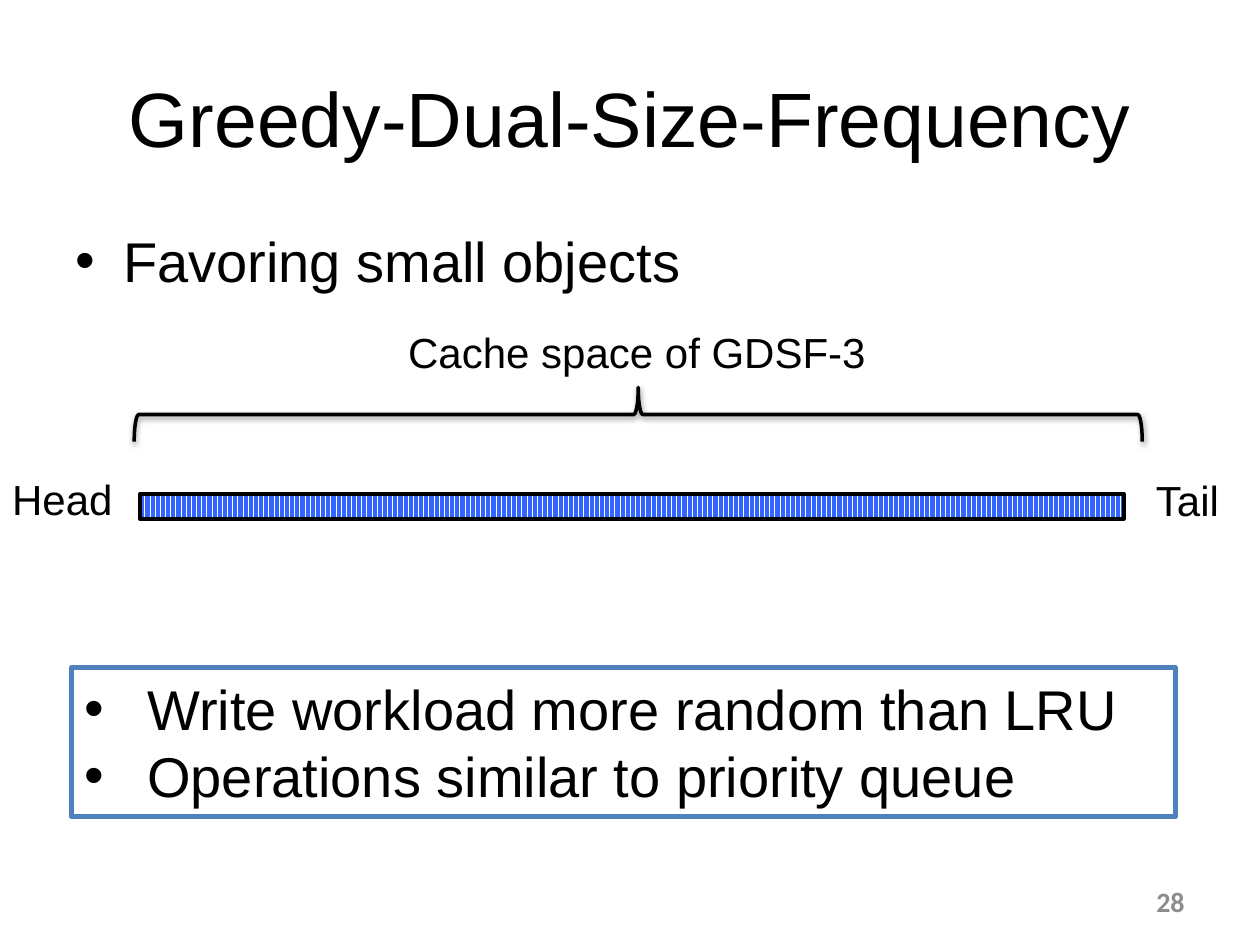
from dataclasses import dataclass

from lxml.etree import SubElement
from pptx import Presentation
from pptx.dml.color import RGBColor
from pptx.enum.dml import MSO_PATTERN
from pptx.enum.shapes import MSO_SHAPE as Shape
from pptx.enum.text import MSO_ANCHOR as Anchor, PP_ALIGN as Align
from pptx.oxml.ns import qn
from pptx.util import Inches, Pt

COLORS = {
    "black": "000000",
    "white": "FFFFFF",
    "gray": "8C8C8C",
    "cache": "3366FF",
    "frame": "4F81BD",
}


@dataclass
class Box:
    left: float
    top: float
    width: float
    height: float

    def lengths(self) -> list:
        return [Inches(v) for v in (self.left, self.top, self.width, self.height)]


@dataclass
class Label:
    text: str
    box: Box


LABELS = [
    Label("Cache space of GDSF-3", Box(2.77, 2.54, 4.57, 0.5)),
    Label("Head", Box(-0.77, 3.71, 2.53, 0.5)),
    Label("Tail", Box(8.16, 3.72, 2.53, 0.5)),
]


def rgb(name: str) -> RGBColor:
    return RGBColor.from_string(COLORS[name])


def add_bullet(p, indent: float) -> None:
    pPr = p._p.get_or_add_pPr()
    pPr.set("marL", str(Inches(indent)))
    pPr.set("indent", str(-Inches(indent)))
    SubElement(pPr, qn("a:buFont"), typeface="Arial")
    SubElement(pPr, qn("a:buChar"), char="•")


def write(s, text: str, *, size: float, font: str = "Arial", color: str = "black",
          bold: bool = False, align=Align.LEFT, anchor=Anchor.TOP,
          indent: float = 0) -> None:
    tf = s.text_frame
    tf.word_wrap = True
    tf.vertical_anchor = anchor
    for i, line in enumerate(text.split("\n")):
        p = tf.add_paragraph() if i else tf.paragraphs[0]
        p.alignment = align
        if indent:
            add_bullet(p, indent)
        r = p.add_run()
        r.text = line
        r.font.name = font
        r.font.size = Pt(size)
        r.font.bold = bold
        r.font.color.rgb = rgb(color)


def add_text(slide, text: str, box: Box, **fmt):
    s = slide.shapes.add_textbox(*box.lengths())
    write(s, text, **fmt)
    return s


def add_outlined(slide, kind, box: Box, line: str, width: float):
    s = slide.shapes.add_shape(kind, *box.lengths())
    s.shadow.inherit = False
    s.line.color.rgb = rgb(line)
    s.line.width = Pt(width)
    return s


def add_shadow(s) -> None:
    effects = s._element.spPr.find(qn("a:effectLst"))
    shadow = SubElement(effects, qn("a:outerShdw"), blurRad=str(Pt(3.1)),
                        dist=str(Pt(1.6)), dir="5400000", rotWithShape="0")
    color = SubElement(shadow, qn("a:srgbClr"), val=COLORS["black"])
    SubElement(color, qn("a:alpha"), val="38000")


def main() -> None:
    prs = Presentation()
    prs.slide_width, prs.slide_height = Inches(10), Inches(7.5)
    slide = prs.slides.add_slide(prs.slide_layouts[6])

    add_text(slide, "Greedy-Dual-Size-Frequency", Box(0.5, 0.3, 9, 1.25),
             size=44, align=Align.CENTER, anchor=Anchor.MIDDLE)
    add_text(slide, "Favoring small objects", Box(0.5, 1.75, 9, 4.95),
             size=32, indent=0.38)
    add_text(slide, "28", Box(7.17, 6.95, 2.33, 0.4), size=16, font="Calibri",
             color="gray", bold=True, align=Align.RIGHT, anchor=Anchor.MIDDLE)

    brace = add_outlined(slide, Shape.LEFT_BRACE, Box(4.85, -0.71, 0.43, 8), "black", 2)
    brace.rotation = 90
    brace.fill.background()
    add_shadow(brace)

    cache = add_outlined(slide, Shape.RECTANGLE, Box(1.11, 3.92, 7.81, 0.2), "black", 2)
    cache.fill.patterned()
    cache.fill.pattern = MSO_PATTERN.DARK_VERTICAL
    cache.fill.fore_color.rgb = rgb("cache")
    cache.fill.back_color.rgb = rgb("white")

    for label in LABELS:
        add_text(slide, label.text, label.box, size=24, align=Align.CENTER)

    summary = add_outlined(slide, Shape.RECTANGLE, Box(0.57, 5.3, 8.76, 1.18), "frame", 3)
    summary.fill.solid()
    summary.fill.fore_color.rgb = rgb("white")
    write(summary, "Write workload more random than LRU\nOperations similar to priority queue",
          size=32, indent=0.5)

    prs.save("out.pptx")


if __name__ == "__main__":
    main()
